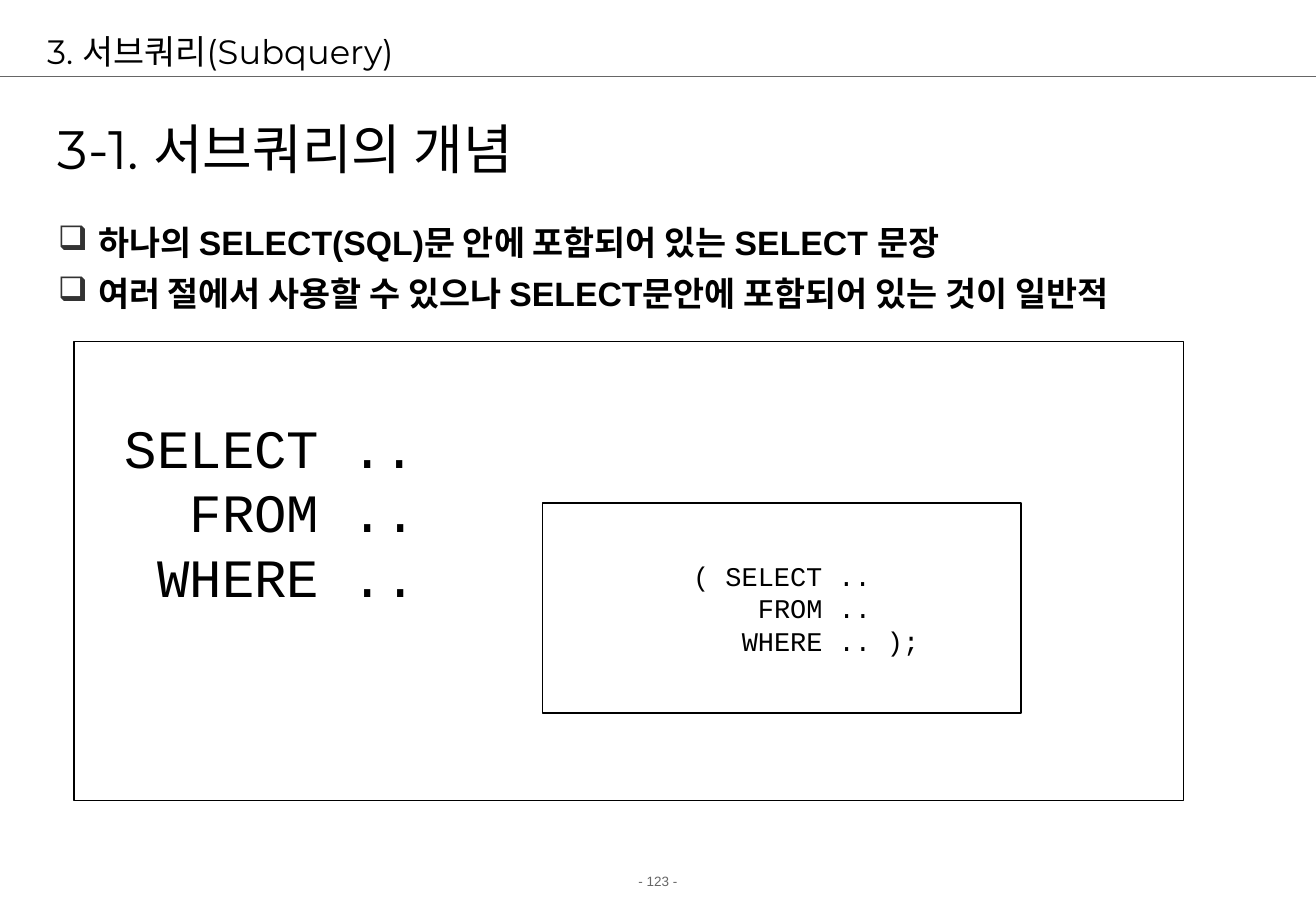
from lxml.etree import SubElement
from pptx import Presentation
from pptx.dml.color import RGBColor as Rgb
from pptx.enum.shapes import MSO_CONNECTOR as Connector, MSO_SHAPE as Preset
from pptx.enum.text import MSO_ANCHOR as Anchor, PP_ALIGN as Align
from pptx.oxml.ns import qn
from pptx.util import Inches, Pt

COLORS = {"ink": "000000", "bullet": "333333", "muted": "666666"}
FONTS = {"heading": "Montserrat", "body": "Arial", "code": "Courier New"}
CODE_CHARACTER_EM = 0.6


class SlideBuilder:
    def __init__(self, presentation):
        self.slide = presentation.slides.add_slide(presentation.slide_layouts[6])
        self.width = presentation.slide_width
        self.height = presentation.slide_height

    def area(self, left, top, width, height):
        across, down = self.width / 100, self.height / 100
        return [int(size) for size in (left * across, top * down, width * across, height * down)]

    def fill_text(self, frame, lines, font, size, color="ink", bold=False,
                  align=Align.LEFT, anchor=Anchor.TOP, before=0):
        frame.word_wrap = True
        frame.vertical_anchor = anchor
        for index, line in enumerate(lines):
            paragraph = frame.paragraphs[0] if index == 0 else frame.add_paragraph()
            paragraph.text = line
            paragraph.alignment = align
            paragraph.space_before = Pt(before)
            paragraph.font.name = FONTS[font]
            paragraph.font.size = Pt(size)
            paragraph.font.bold = bold
            paragraph.font.color.rgb = Rgb.from_string(COLORS[color])
        return frame

    def text(self, area, lines, font, size, **style):
        box = self.slide.shapes.add_textbox(*self.area(*area))
        return self.fill_text(box.text_frame, lines, font, size, **style)

    def bullets(self, area, lines, size):
        frame = self.text(area, lines, "body", size, bold=True, before=6.2)
        for paragraph in frame.paragraphs:
            properties = paragraph._p.get_or_add_pPr()
            properties.set("marL", str(Inches(0.33)))
            properties.set("indent", str(-Inches(0.33)))
            default_run = properties.find(qn("a:defRPr"))
            bullet_color = SubElement(properties, qn("a:buClr"))
            SubElement(bullet_color, qn("a:srgbClr"), val=COLORS["bullet"])
            SubElement(properties, qn("a:buChar"), char="❑")
            if default_run is not None:
                properties.append(default_run)

    def frame(self, area):
        shape = self.slide.shapes.add_shape(Preset.RECTANGLE, *self.area(*area))
        shape.shadow.inherit = False
        shape.fill.background()
        self.stroke(shape.line, "ink")
        return shape

    def code_frame(self, area, lines, size, start):
        frame = self.frame(area).text_frame
        frame.margin_left = frame.margin_right = 0
        frame.margin_top = frame.margin_bottom = 0
        self.fill_text(frame, [line for line, _ in lines], "code", size, anchor=Anchor.MIDDLE)
        for paragraph, (_, column) in zip(frame.paragraphs, lines):
            margin = Inches(start) + Pt(column * size * CODE_CHARACTER_EM)
            paragraph._p.get_or_add_pPr().set("marL", str(margin))

    def rule(self, top):
        left, y, width, _ = self.area(0, top, 100, 0)
        connector = self.slide.shapes.add_connector(Connector.STRAIGHT, left, y, left + width, y)
        self.stroke(connector.line, "muted")
        SubElement(connector._element.spPr, qn("a:effectLst"))

    def stroke(self, line, color):
        line.color.rgb = Rgb.from_string(COLORS[color])
        line.width = Pt(0.75)


def main():
    presentation = Presentation()
    presentation.slide_width = Inches(10.84)
    presentation.slide_height = Inches(7.5)
    builder = SlideBuilder(presentation)

    builder.text((0, 95.2, 100, 3.2), ["- 123 -"], "body", 8,
                 color="muted", align=Align.CENTER, before=5)
    builder.rule(8.4)
    builder.text((2.68, 2.8, 93.82, 5.6), ["3. 서브쿼리(Subquery)"], "heading", 20,
                 anchor=Anchor.MIDDLE)
    builder.text((3.5, 10.13, 78.4, 12.27), ["3-1. 서브쿼리의 개념"], "heading", 32,
                 anchor=Anchor.MIDDLE)
    builder.bullets((3.5, 23.73, 95.2, 13.6), [
        "하나의 SELECT(SQL)문 안에 포함되어 있는 SELECT 문장",
        "여러 절에서 사용할 수 있으나 SELECT문안에 포함되어 있는 것이 일반적",
    ], 20)

    builder.frame((5.63, 37.47, 84.3, 50.4))
    builder.text((8.58, 44.8, 24, 22.67), ["SELECT ..", "FROM ..", "WHERE .."], "code", 32,
                 align=Align.RIGHT)
    builder.code_frame((41.24, 55.2, 36.35, 23.07), [
        ("( SELECT ..", 0), ("FROM ..", 4), ("WHERE .. );", 3),
    ], 16, start=1.24)

    presentation.save("out.pptx")


if __name__ == "__main__":
    main()
